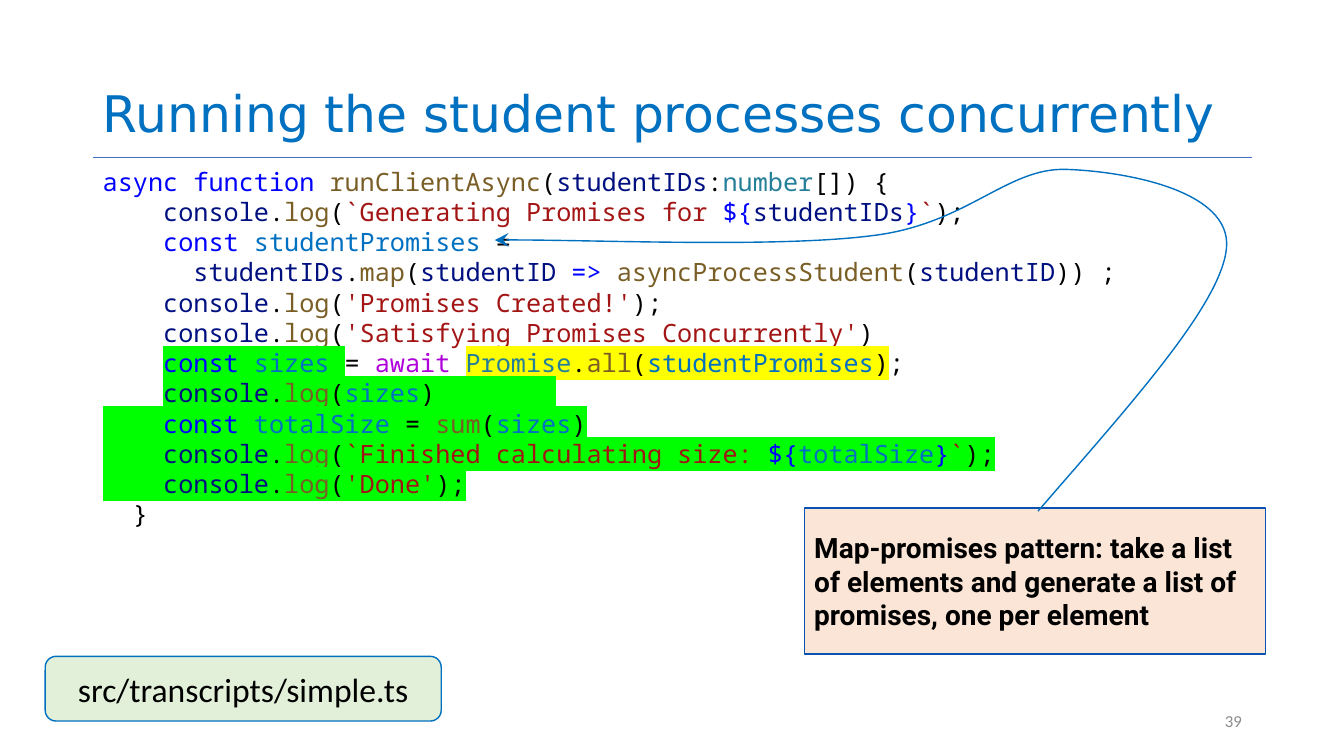
"""Build the slide on running the student processes concurrently."""
from typing import NamedTuple, Optional

from lxml import etree
from pptx import Presentation
from pptx.dml.color import RGBColor
from pptx.enum.shapes import MSO_CONNECTOR, MSO_SHAPE
from pptx.enum.text import MSO_ANCHOR, PP_ALIGN
from pptx.oxml.ns import qn
from pptx.util import Cm, Pt

LEFT, CENTER, RIGHT = PP_ALIGN.LEFT, PP_ALIGN.CENTER, PP_ALIGN.RIGHT
MIDDLE, BOTTOM, TOP = MSO_ANCHOR.MIDDLE, MSO_ANCHOR.BOTTOM, MSO_ANCHOR.TOP
RECTANGLE, ROUNDED = MSO_SHAPE.RECTANGLE, MSO_SHAPE.ROUNDED_RECTANGLE
STRAIGHT = MSO_CONNECTOR.STRAIGHT

BLACK = RGBColor(0x00, 0x00, 0x00)
GRAY = RGBColor(0x8C, 0x8C, 0x8C)
ACCENT = RGBColor(0x00, 0x70, 0xC0)
RULE_BLUE = RGBColor(0x44, 0x72, 0xC4)
NOTE_FILL = RGBColor(0xFB, 0xE5, 0xD6)
NOTE_LINE = RGBColor(0x0A, 0x52, 0xB1)
FILE_FILL = RGBColor(0xE2, 0xF0, 0xD9)
KEYWORD = RGBColor(0x00, 0x00, 0xFF)
FUNCTION = RGBColor(0x79, 0x5E, 0x26)
VARIABLE = RGBColor(0x00, 0x10, 0x80)
CONSTANT = RGBColor(0x00, 0x70, 0xC1)
TYPE = RGBColor(0x26, 0x7F, 0x99)
STRING = RGBColor(0xA3, 0x15, 0x15)
CONTROL = RGBColor(0xAF, 0x00, 0xDB)
GREEN = RGBColor(0x00, 0xFF, 0x00)
YELLOW = RGBColor(0xFF, 0xFF, 0x00)


class Span(NamedTuple):
    """A stretch of text in one colour."""
    text: str
    color: RGBColor = BLACK
    highlight: Optional[RGBColor] = None


class Style(NamedTuple):
    """Font and paragraph settings of a text."""
    font: str
    size: float
    bold: bool = False
    align: PP_ALIGN = LEFT
    anchor: MSO_ANCHOR = MIDDLE
    spacing: float = 1.0


class Area(NamedTuple):
    """Left, top, width and height in centimetres."""
    left: float
    top: float
    width: float
    height: float


class Label(NamedTuple):
    """A text, with an outlined shape behind it if one is named."""
    area: Area
    style: Style
    lines: list
    shape: Optional[MSO_SHAPE] = None
    fill: Optional[RGBColor] = None
    outline: Optional[RGBColor] = None


def marked(color: RGBColor, spans: list) -> list:
    """Return the spans with a highlight."""
    return [span._replace(highlight=color) for span in spans]


def log(*arguments: Span, end: str = ");") -> list:
    """Return the spans of a console.log call."""
    return [Span("console", VARIABLE), Span("."), Span("log", FUNCTION),
            Span("("), *arguments, Span(end)]


def template(text: str, name: Span) -> list:
    """Return the spans of a template string that ends in a variable."""
    return [Span("`" + text, STRING), Span("${", KEYWORD), name,
            Span("}", KEYWORD), Span("`", STRING)]


INDENT = Span("    ")
CONST = Span("const ", KEYWORD)
SIZES = Span("sizes", CONSTANT)
TOTAL = Span("totalSize", CONSTANT)
PROMISES = Span("studentPromises", CONSTANT)
STUDENT_IDS = Span("studentIDs", VARIABLE)

CODE = [
    [Span("async function ", KEYWORD), Span("runClientAsync", FUNCTION), Span("("),
     STUDENT_IDS, Span(":"), Span("number", TYPE), Span("[]) {")],
    [INDENT, *log(*template("Generating Promises for ", STUDENT_IDS))],
    [INDENT, CONST, PROMISES, Span(" =")],
    [Span("      "), STUDENT_IDS, Span("."), Span("map", FUNCTION), Span("("),
     Span("studentID ", VARIABLE), Span("=> ", KEYWORD),
     Span("asyncProcessStudent", FUNCTION), Span("("),
     Span("studentID", VARIABLE), Span(")) ;")],
    [INDENT, *log(Span("'Promises Created!'", STRING))],
    [INDENT, *log(Span("'Satisfying Promises Concurrently'", STRING), end=")")],
    [INDENT, *marked(GREEN, [CONST, SIZES, Span(" ")]), Span("= "),
     Span("await ", CONTROL),
     *marked(YELLOW, [Span("Promise", TYPE), Span("."), Span("all", FUNCTION),
                      Span("("), PROMISES, Span(")")]), Span(";")],
    [INDENT, *marked(GREEN, log(SIZES, end=")        "))],
    marked(GREEN, [INDENT, CONST, TOTAL, Span(" = "), Span("sum", FUNCTION),
                   Span("("), SIZES, Span(")")]),
    marked(GREEN, [INDENT, *log(*template("Finished calculating size: ", TOTAL))]),
    marked(GREEN, [INDENT, *log(Span("'Done'", STRING))]),
    [Span("  }")],
]

LABELS = [
    Label(Area(2.34, 0.05, 29.21, 3.68),
          Style("DejaVu Sans", 36, anchor=BOTTOM, spacing=0.9),
          [[Span("Running the student processes concurrently", ACCENT)]]),
    Label(Area(23.93, 17.65, 7.62, 1.02), Style("Calibri", 12, align=RIGHT),
          [[Span("39", GRAY)]]),
    Label(Area(2.34, 4.06, 30.45, 9.5),
          Style("Noto Sans Mono", 18, anchor=TOP), CODE),
    Label(Area(20.27, 12.8, 11.63, 3.68), Style("Roboto", 20, bold=True),
          [[Span("Map-promises pattern: take a list of elements and generate "
                 "a list of promises, one per element")]],
          RECTANGLE, NOTE_FILL, NOTE_LINE),
    Label(Area(1.14, 16.54, 9.98, 1.63), Style("Calibri", 24, align=CENTER),
          [[Span("src/transcripts/simple.ts")]], ROUNDED, FILE_FILL, ACCENT),
]

ARROW_POINTS = [
    (26.16, 12.88), (28.47, 10.21), (30.78, 7.67), (30.91, 6.25),
    (31.04, 4.8), (28.37, 4.32), (26.87, 4.27),
    (25.37, 4.22), (24.36, 5.66), (21.97, 5.94),
    (19.56, 6.25), (14.45, 6.02), (12.47, 6.05),
]


def add_span(para, span: Span, style: Style) -> None:
    """Add one run to a paragraph."""
    run = para.add_run()
    run.text = span.text
    run.font.size, run.font.bold = Pt(style.size), style.bold
    run.font.color.rgb = span.color
    run.font.name = style.font
    if span.highlight is not None:
        highlight = etree.Element(qn("a:highlight"))
        etree.SubElement(highlight, qn("a:srgbClr"), val=str(span.highlight))
        run.font.fill._xPr.find(qn("a:solidFill")).addnext(highlight)


def add_label(page, label: Label) -> None:
    """Draw a text and the shape behind it."""
    place = [Cm(length) for length in label.area]
    if label.shape is None:
        box = page.shapes.add_textbox(*place)
    else:
        box = page.shapes.add_shape(label.shape, *place)
        box.shadow.inherit = False
        box.fill.solid()
        box.fill.fore_color.rgb = label.fill
        box.line.color.rgb, box.line.width = label.outline, Pt(1)
    frame = box.text_frame
    frame.word_wrap = True
    frame.vertical_anchor = label.style.anchor
    for index, spans in enumerate(label.lines):
        para = frame.add_paragraph() if index else frame.paragraphs[0]
        para.alignment, para.line_spacing = label.style.align, label.style.spacing
        for span in spans:
            add_span(para, span, label.style)


def add_rule(page) -> None:
    """Draw the line under the title."""
    rule = page.shapes.add_connector(STRAIGHT, Cm(2.34), Cm(3.96), Cm(31.55), Cm(3.96))
    rule.line.color.rgb, rule.line.width = RULE_BLUE, Pt(0.5)
    etree.SubElement(rule._element.spPr, qn("a:effectLst"))


def add_curved_arrow(page, points: list) -> None:
    """Draw an arrow through cubic curves of three points each."""
    start, *others = [(Cm(x), Cm(y)) for x, y in points]
    builder = page.shapes.build_freeform(*start)
    builder.add_line_segments(others, close=False)
    arrow = builder.convert_to_shape()
    arrow.shadow.inherit = False
    arrow.fill.background()
    arrow.line.color.rgb, arrow.line.width = ACCENT, Pt(1)
    etree.SubElement(arrow.line._get_or_add_ln(), qn("a:tailEnd"), type="stealth",
                     w="lg", len="lg")
    outline = arrow._element.spPr.find(".//" + qn("a:path"))
    steps = outline.findall(qn("a:lnTo"))
    for first in range(0, len(steps), 3):
        curve = etree.SubElement(outline, qn("a:cubicBezTo"))
        for step in steps[first:first + 3]:
            curve.append(step[0])
            outline.remove(step)


def main() -> None:
    """Build and save the deck."""
    deck = Presentation()
    deck.slide_width, deck.slide_height = Cm(33.87), Cm(19.05)
    page = deck.slides.add_slide(deck.slide_layouts[6])
    add_rule(page)
    for label in LABELS:
        add_label(page, label)
    add_curved_arrow(page, ARROW_POINTS)
    deck.save("out.pptx")


if __name__ == "__main__":
    main()
